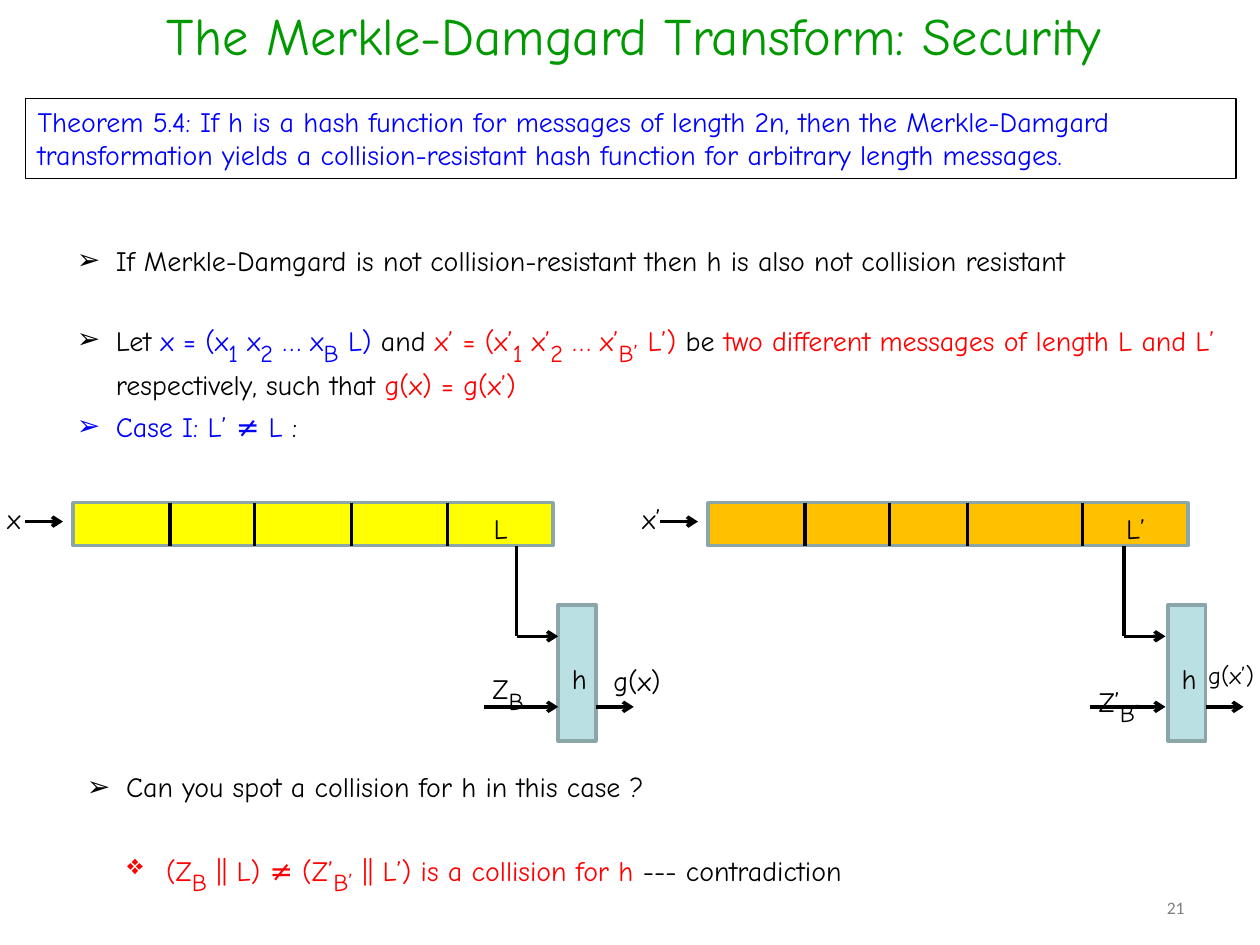
from dataclasses import dataclass
from typing import NamedTuple

from lxml.etree import SubElement
from pptx import Presentation
from pptx.dml.color import RGBColor
from pptx.enum.shapes import MSO_CONNECTOR, MSO_SHAPE
from pptx.enum.text import MSO_ANCHOR as Anchor, MSO_AUTO_SIZE as AutoSize, PP_ALIGN as Align
from pptx.oxml.ns import qn
from pptx.util import Inches, Pt

BLACK = RGBColor(0x00, 0x00, 0x00)
BLUE = RGBColor(0x00, 0x00, 0xFF)
RED = RGBColor(0xFF, 0x00, 0x00)
GREEN = RGBColor(0x00, 0x99, 0x00)
GRAY = RGBColor(0x80, 0x80, 0x80)
YELLOW = RGBColor(0xFF, 0xFF, 0x00)
ORANGE = RGBColor(0xFF, 0xC0, 0x00)
AQUA = RGBColor(0xBB, 0xE0, 0xE3)
EDGE = RGBColor(0x8A, 0xA6, 0xA8)

FONT = "Comic Neue"
WIDTH, HEIGHT = Inches(10), Inches(7.5)
COLUMNS, ROWS = 100, 75
BAR_TOP, BAR_WIDTH, BAR_HEIGHT = 39.9, 38.1, 3.4
HASH_TOP, HASH_WIDTH, HASH_HEIGHT = 48, 3, 10.8
BLOCK_ROW, CHAIN_ROW = 50.5, 56.1


class Span(NamedTuple):
    text: str
    color: RGBColor = BLACK
    sub: bool = False


class Area(NamedTuple):
    """Left, top, width and height in grid columns and rows."""
    left: float
    top: float
    width: float
    height: float


@dataclass
class Bullet:
    area: Area
    spans: list[Span]
    mark: str = "➢"


@dataclass
class Chain:
    """One message bar with its last hash step; offsets start at bar or hash."""
    bar: float
    cuts: tuple[float, ...]
    fill: RGBColor
    prime: str
    length_offset: float
    hash: float
    gap: float
    elbow: float
    z_start: float
    z_label: tuple[float, float]
    g_label: tuple[float, float]
    g_size: int


def col(n: float) -> int:
    return round(WIDTH * n / COLUMNS)


def row(n: float) -> int:
    return round(HEIGHT * n / ROWS)


def emu(area: Area) -> tuple[int, int, int, int]:
    return col(area.left), row(area.top), col(area.width), row(area.height)


def place(box, area: Area) -> None:
    box.left, box.top, box.width, box.height = emu(area)


def write(box, spans: list[Span], size: float = 16, font: str = FONT,
          align: Align = Align.LEFT, anchor: Anchor = Anchor.TOP,
          fit: AutoSize = AutoSize.SHAPE_TO_FIT_TEXT):
    frame = box.text_frame
    frame.word_wrap, frame.auto_size, frame.vertical_anchor = True, fit, anchor
    para = frame.paragraphs[0]
    para.alignment, para.space_before = align, Pt(0)
    for span in spans:
        run = para.add_run()
        run.text = span.text
        run.font.name, run.font.bold = font, False
        run.font.size = Pt(24 if span.sub else size)
        run.font.color.rgb = span.color
        if span.sub:
            run._r.get_or_add_rPr().set("baseline", "-25000")
    return para


def label(page, area: Area, *spans: Span, size: float = 16) -> None:
    write(page.shapes.add_textbox(*emu(area)), list(spans), size)


def write_bullet(box, bullet: Bullet) -> None:
    place(box, bullet.area)
    props = write(box, bullet.spans)._p.get_or_add_pPr()
    props.set("marL", str(Inches(0.31)))
    props.set("indent", str(-Inches(0.31)))
    SubElement(props, qn("a:buChar")).set("char", bullet.mark)


def rect(page, area: Area, fill: RGBColor | None, edge: RGBColor = EDGE, weight: float = 2):
    box = page.shapes.add_shape(MSO_SHAPE.RECTANGLE, *emu(area))
    box.shadow.inherit = False
    if fill is None:
        box.fill.background()
    else:
        box.fill.solid()
        box.fill.fore_color.rgb = fill
    box.line.color.rgb, box.line.width = edge, Pt(weight)
    return box


def line(page, x1: float, y1: float, x2: float, y2: float, arrow: bool = False) -> None:
    link = page.shapes.add_connector(MSO_CONNECTOR.STRAIGHT, col(x1), row(y1), col(x2), row(y2))
    link.line.color.rgb, link.line.width = BLACK, Pt(2)
    SubElement(link._element.spPr, qn("a:effectLst"))
    if arrow:
        SubElement(link.line._get_or_add_ln(), qn("a:tailEnd")).set("type", "arrow")


def draw_chain(page, chain: Chain) -> None:
    bar, step, prime = chain.bar, chain.hash, chain.prime
    # Message bar cut into blocks
    rect(page, Area(bar, BAR_TOP, BAR_WIDTH, BAR_HEIGHT), chain.fill)
    for cut in chain.cuts:
        line(page, bar + cut, BAR_TOP, bar + cut, BAR_TOP + BAR_HEIGHT)
    label(page, Area(bar + chain.length_offset, 40.1, 12, 3.7), Span("L" + prime))
    label(page, Area(bar - 6.2, 39.3, 5.4, 3.7), Span("x" + prime))
    line(page, bar - 3.8, 41.4, bar - 0.8, 41.4, arrow=True)
    # Hash step with its two inputs
    rect(page, Area(step, HASH_TOP, HASH_WIDTH, HASH_HEIGHT), AQUA)
    label(page, Area(step + 0.1, 52, 2.5, 3.2), Span("h"))
    end, elbow = step - chain.gap, step - chain.elbow
    line(page, step - chain.z_start, CHAIN_ROW, end, CHAIN_ROW, arrow=True)
    line(page, elbow, BAR_TOP + BAR_HEIGHT, elbow, BLOCK_ROW)
    line(page, elbow, BLOCK_ROW, end, BLOCK_ROW, arrow=True)
    z_left, z_top = chain.z_label
    label(page, Area(step + z_left, z_top, 6.8, 3.7),
          Span("Z" + prime), Span("B" + prime, sub=True))
    # Output
    g_left, g_top = chain.g_label
    label(page, Area(step + g_left, g_top, 9.3, 3.7), Span(f"g(x{prime})"), size=chain.g_size)
    line(page, step + HASH_WIDTH, CHAIN_ROW, step + 2 * HASH_WIDTH, CHAIN_ROW, arrow=True)


CHAINS = [
    Chain(5.8, (7.7, 14.4, 22.1, 29.7), YELLOW, "", 32.4, 44.3, 0, 3.3, 5.9,
          (-6.2, 51.7), (3.4, 52.2), 16),
    Chain(56.2, (7.7, 14.4, 20.6, 29.7), ORANGE, "’", 32.2, 92.7, 0.2, 3.5, 6.2,
          (-6.5, 52.7), (2.2, 51.9), 14),
]

BULLETS = [
    Bullet(Area(5.1, 18.8, 96.1, 3.7), [
        Span("If Merkle-Damgard is not collision-resistant then h is also not collision resistant")]),
    Bullet(Area(5.1, 24.1, 96.1, 6.4), [
        Span("Let "), Span("x = (x", BLUE), Span("1", BLUE, True), Span(" x", BLUE),
        Span("2", BLUE, True), Span(" … x", BLUE), Span("B", BLUE, True), Span(" L) ", BLUE),
        Span("and "), Span("x’ = (x’", RED), Span("1", RED, True), Span(" x’", RED),
        Span("2", RED, True), Span(" … x’", RED), Span("B’", RED, True), Span(" L’) ", RED),
        Span("be "), Span("two different messages of length L and L’", RED),
        Span(" respectively, such that "), Span("g(x) = g(x’)", RED)]),
    Bullet(Area(5.1, 32, 96.1, 3.7), [Span("Case I: L’ ≠ L ", BLUE), Span(":")]),
    Bullet(Area(5.9, 60.6, 96.1, 3.7), [Span("Can you spot a collision for h in this case ?")]),
]
ANSWER = Bullet(Area(9.1, 66.1, 70.9, 3.7), [
    Span("(Z", RED), Span("B", RED, True), Span(" || L) ≠ (Z’", RED), Span("B’", RED, True),
    Span(" || L’) is a collision for h ", RED), Span("--- contradiction")], "❖")
THEOREM = ("Theorem 5.4: If h is a hash function for messages of length 2n, then the "
           "Merkle-Damgard transformation yields a collision-resistant hash function for "
           "arbitrary length messages.")


def main() -> None:
    deck = Presentation()
    deck.slide_width, deck.slide_height = WIDTH, HEIGHT
    # The comparison layout offers a title and four bodies
    page = deck.slides.add_slide(deck.slide_layouts[4])
    title, *bodies = page.placeholders
    place(title, Area(-2, -0.3, 104.7, 5.5))
    write(title, [Span("The Merkle-Damgard Transform: Security", GREEN)], 30,
          align=Align.CENTER, fit=AutoSize.NONE)

    # Theorem and argument
    write(rect(page, Area(2, 7.8, 96.1, 6.4), None, BLACK, 0.75), [Span(THEOREM, BLUE)])
    for body, bullet in zip(bodies, BULLETS):
        write_bullet(body, bullet)
    write_bullet(page.shapes.add_textbox(*emu(ANSWER.area)), ANSWER)

    # Diagrams
    for chain in CHAINS:
        draw_chain(page, chain)

    # Page number
    number = page.shapes.add_textbox(*emu(Area(71.7, 70.6, 23.3, 2.9)))
    write(number, [Span("21", GRAY)], 10, "Calibri", Align.RIGHT, Anchor.MIDDLE, AutoSize.NONE)
    deck.save("out.pptx")


if __name__ == "__main__":
    main()
